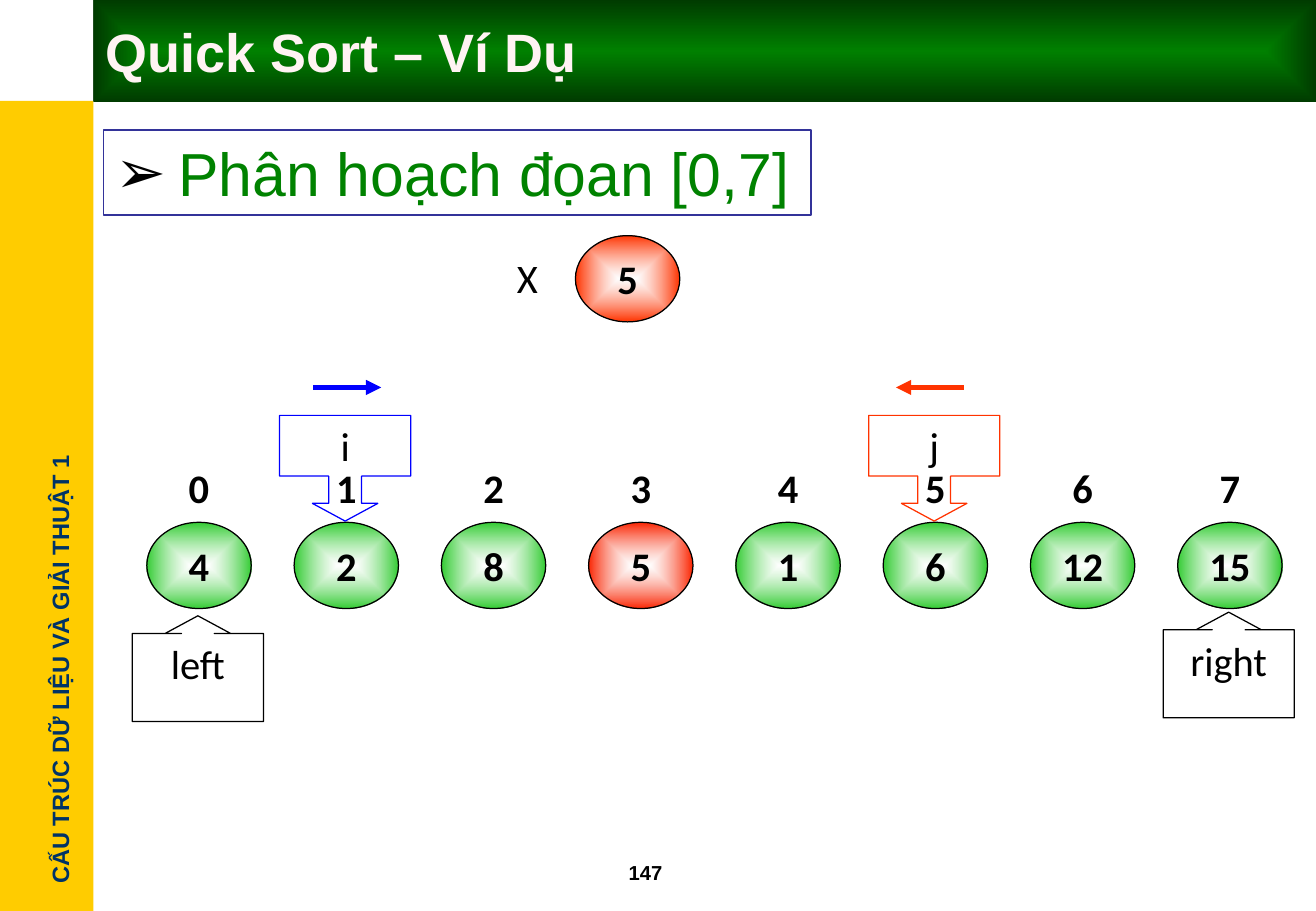
"""Build the Quick Sort partition example slide."""
import pptx
import pptx.dml.color
import pptx.enum.shapes
import pptx.enum.text
import pptx.oxml
import pptx.oxml.ns
import pptx.util
from lxml import etree

RGBColor = pptx.dml.color.RGBColor
Inches = pptx.util.Inches
Pt = pptx.util.Pt
Shape = pptx.enum.shapes.MSO_SHAPE
Align = pptx.enum.text.PP_ALIGN
Anchor = pptx.enum.text.MSO_ANCHOR
qn = pptx.oxml.ns.qn

BLACK = RGBColor(0x00, 0x00, 0x00)
WHITE = RGBColor(0xFF, 0xFF, 0xFF)
GOLD = RGBColor(0xFF, 0xCC, 0x00)
NAVY = RGBColor(0x00, 0x33, 0x66)
INDIGO = RGBColor(0x33, 0x33, 0x99)
BLUE = RGBColor(0x00, 0x00, 0xFF)
ORANGE = RGBColor(0xFF, 0x33, 0x00)
RED = RGBColor(0xFB, 0x26, 0x03)
LIME = RGBColor(0x33, 0xCC, 0x33)
GREEN = RGBColor(0x00, 0x80, 0x00)
TEXT_GREEN = RGBColor(0x00, 0x82, 0x00)
DARK_GREEN = RGBColor(0x00, 0x3B, 0x00)
HEADER_START = RGBColor(0x00, 0x2F, 0x00)
HEADER_END = RGBColor(0x00, 0x66, 0x00)
TITLE_PINK = RGBColor(0xFF, 0xF3, 0xF3)

WIDTH, HEIGHT = 10.84, 7.5
SIDEBAR, HEADER = 0.77, 0.84
FIRST_COLUMN, PITCH = 1.21, 1.213
NODE_WIDTH, NODE_HEIGHT = 0.86, 0.71
INDEX_ROW, NODE_ROW, ARROW_ROW, POINTER_ROW = 3.66, 4.3, 3.19, 3.42
CALLOUT_WIDTH, CALLOUT_HEIGHT = 1.08, 0.87

NORMAL = {"name": "Calibri", "size": Pt(24), "bold": False}
BOLD = {**NORMAL, "bold": True}


def write(shape, text, format_values, color=BLACK, align=Align.LEFT, anchor=Anchor.TOP, wrap=True):
    """Put one formatted paragraph in a shape and return the paragraph."""
    frame = shape.text_frame
    frame.auto_size = pptx.enum.text.MSO_AUTO_SIZE.NONE
    frame.word_wrap = wrap
    frame.vertical_anchor = anchor
    paragraph = frame.paragraphs[0]
    paragraph.alignment = align
    paragraph.space_before = Pt(0)
    run = paragraph.add_run()
    run.text = text
    for name, value in format_values.items():
        setattr(run.font, name, value)
    run.font.color.rgb = color
    return paragraph


def draw(kind, box, line=None, center=None, edge=None, opacity=None):
    """Add a preset shape, with a gradient from center to edge if given."""
    if kind == "title":
        shape = slide.shapes.title
        shape.left, shape.top, shape.width, shape.height = map(Inches, box)
    else:
        shape = slide.shapes.add_shape(kind, *map(Inches, box))
        shape.shadow.inherit = False
    shape.fill.background()
    if line is None:
        shape.line.fill.background()
    else:
        shape.line.color.rgb = line
        shape.line.width = Pt(0.75)
    if center is not None:
        shape.fill.gradient()
        shape.fill.gradient_angle = 0
        for stop, color, position in zip(shape.fill.gradient_stops, (center, edge), (0, 1)):
            stop.color.rgb = color
            stop.position = position
        gradient = shape.element.spPr.find(qn("a:gradFill"))
        if kind != Shape.RECTANGLE:
            gradient.remove(gradient.find(qn("a:lin")))
            route = etree.SubElement(gradient, qn("a:path"), {"path": "rect"})
            etree.SubElement(route, qn("a:fillToRect"), dict.fromkeys("ltrb", "50000"))
        if opacity is not None:
            first_color = next(gradient.iter(qn("a:srgbClr")))
            etree.SubElement(first_color, qn("a:alpha"), {"val": str(opacity * 1000)})
    return shape


presentation = pptx.Presentation()
presentation.slide_width = Inches(WIDTH)
presentation.slide_height = Inches(HEIGHT)
slide = presentation.slides.add_slide(presentation.slide_layouts[1])

title = draw("title", (SIDEBAR, 0, WIDTH - SIDEBAR, HEADER), center=GREEN, edge=DARK_GREEN)
write(title, "Quick Sort – Ví Dụ", {"name": "Arial", "size": Pt(32), "bold": True},
      TITLE_PINK, anchor=Anchor.MIDDLE)

sidebar = draw(Shape.RECTANGLE, (0, 0.83, SIDEBAR, HEIGHT - 0.83))
sidebar.fill.solid()
sidebar.fill.fore_color.rgb = GOLD
header = draw(Shape.RECTANGLE, (SIDEBAR, 0, WIDTH - SIDEBAR, 0.83), center=HEADER_START, edge=HEADER_END)
for backdrop in (sidebar, header):
    title.element.addprevious(backdrop.element)

course = slide.shapes.add_textbox(Inches(-1.37), Inches(5.34), Inches(3.73), Inches(0.34))
course.rotation = 270
write(course, "CẤU TRÚC DỮ LIỆU VÀ GIẢI THUẬT 1", {"name": "Arial", "size": Pt(14), "bold": True},
      NAVY, wrap=False)
page_number = slide.shapes.add_textbox(Inches(5.08), Inches(7.03), Inches(0.83), Inches(0.3))
write(page_number, "147", {"name": "Arial", "size": Pt(12), "bold": True})

step = slide.placeholders[1]
step.left, step.top, step.width, step.height = map(Inches, (0.85, 1.07, 5.83, 0.7))
step.line.color.rgb = INDIGO
step.line.width = Pt(0.75)
step.text_frame.margin_right = 0
paragraph = write(step, "Phân hoạch đọan [0,7]", {"name": "Arial", "size": Pt(36)}, TEXT_GREEN)
properties = paragraph._p.get_or_add_pPr()
properties.set("marL", str(Inches(0.52)))
properties.set("indent", str(-Inches(0.52)))
bullet_color = etree.SubElement(properties, qn("a:buClr"))
etree.SubElement(bullet_color, qn("a:srgbClr"), {"val": str(BLACK)})
etree.SubElement(properties, qn("a:buChar"), {"char": "➢"})

for index, value in enumerate((4, 2, 8, 5, 1, 6, 12, 15)):
    left = FIRST_COLUMN + index * PITCH
    color, opacity = (RED, 56) if index == 3 else (LIME, 60)
    node = draw(Shape.OVAL, (left, NODE_ROW, NODE_WIDTH, NODE_HEIGHT), BLACK, WHITE, color, opacity)
    write(node, str(value), BOLD, align=Align.CENTER)
    label = draw(Shape.OVAL, (left, INDEX_ROW, NODE_WIDTH, NODE_HEIGHT))
    write(label, str(index), BOLD, align=Align.CENTER)

pivot = draw(Shape.OVAL, (4.74, 1.94, NODE_WIDTH, NODE_HEIGHT), BLACK, WHITE, ORANGE, 60)
write(pivot, "5", BOLD, align=Align.CENTER)
pivot_name = slide.shapes.add_textbox(Inches(4.16), Inches(2.03), Inches(0.45), Inches(0.5))
write(pivot_name, "X", NORMAL)

UP, DOWN = Shape.UP_ARROW_CALLOUT, Shape.DOWN_ARROW_CALLOUT
for name, column, top, kind, body_share, color in (
    ("left", 0, 5.07, UP, 0.851, BLACK),
    ("right", 7, 5.04, UP, 0.851, BLACK),
    ("i", 1, POINTER_ROW, DOWN, 0.575, BLUE),
    ("j", 5, POINTER_ROW, DOWN, 0.575, ORANGE),
):
    left = FIRST_COLUMN + column * PITCH - 0.12
    callout = draw(kind, (left, top, CALLOUT_WIDTH, CALLOUT_HEIGHT), color)
    for position, share in enumerate((0.31, 0.31, 0.167, body_share)):
        callout.adjustments[position] = share
    write(callout, name, NORMAL, align=Align.CENTER)

for start, end, color in ((2.58, 3.14, BLUE), (7.94, 7.38, ORANGE)):
    arrow = slide.shapes.add_connector(pptx.enum.shapes.MSO_CONNECTOR.STRAIGHT,
                                       *map(Inches, (start, ARROW_ROW, end, ARROW_ROW)))
    arrow.line.color.rgb = color
    arrow.line.width = Pt(3)
    etree.SubElement(arrow.line._get_or_add_ln(), qn("a:tailEnd"), {"type": "triangle"})
    etree.SubElement(arrow.element.spPr, qn("a:effectLst"))

presentation.save("out.pptx")
